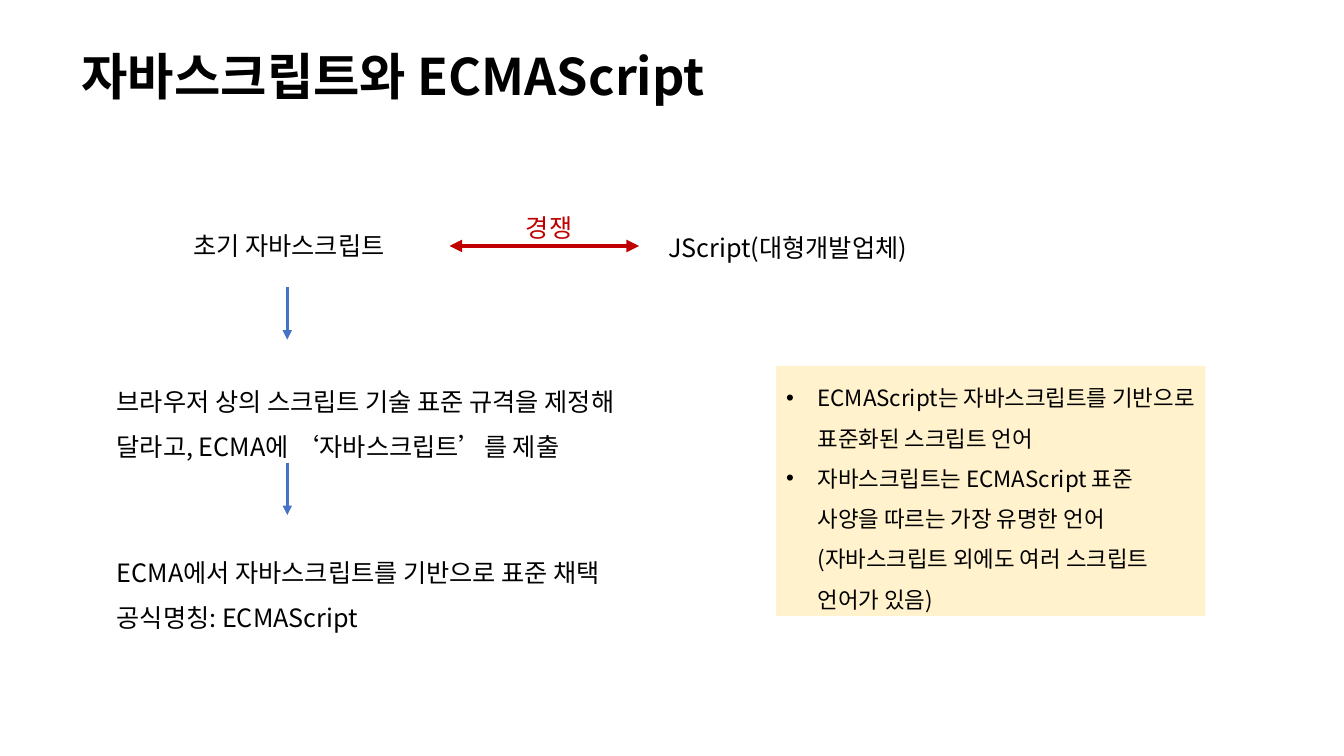
"""Build the slide on JavaScript and ECMAScript."""
from dataclasses import dataclass

from lxml.etree import SubElement as Sub
from pptx import Presentation
from pptx.dml.color import RGBColor as Rgb
from pptx.enum.shapes import MSO_CONNECTOR as Link, MSO_SHAPE as Form
from pptx.enum.text import MSO_ANCHOR as Anchor, MSO_AUTO_SIZE as Fit, PP_ALIGN as Align
from pptx.oxml.ns import qn
from pptx.util import Pt

FONT = "Noto Sans CJK KR"
HUES = {"ink": "000000", "red": "C00000", "blue": "4472C4", "cream": "FFF2CC"}
LEFT, STEM, ROW = 76.3, 205.2, 261.4


@dataclass
class Note:
    """A block of text with its place and look."""
    box: tuple[float, float, float, float]
    lines: list[str]
    size: float = 18
    hue: str = "ink"
    space: float = 1.0
    bold: bool = False
    dots: bool = False
    fill: str = ""
    fit: Fit = Fit.SHAPE_TO_FIT_TEXT
    anchor: Anchor = Anchor.TOP


@dataclass
class Arrow:
    """A straight arrow with a head at one end or both."""
    start: tuple[float, float]
    end: tuple[float, float]
    hue: str = "blue"
    width: float = 2.25
    ends: tuple[str, ...] = ("tailEnd",)


TITLE = Note((51.1, 23.8, 701.3, 66.2), ["자바스크립트와 ECMAScript"], size=36,
             space=0.9, bold=True, fit=Fit.NONE, anchor=Anchor.MIDDLE)
NOTES = [
    Note((131, 160.6, 177.8, 29), ["초기 자바스크립트"]),
    Note((470.2, 162.7, 358.6, 29), ["JScript(대형개발업체)"]),
    Note((368.6, 148.3, 64.8, 29), ["경쟁"], hue="red"),
    Note((LEFT, ROW, 380.2, 69.1),
         ["브라우저 상의 스크립트 기술 표준 규격을 제정해 달라고, ECMA에 ‘자바스크립트’를 제출"],
         space=1.5),
    Note((LEFT, 383.8, 427.7, 69.1),
         ["ECMA에서 자바스크립트를 기반으로 표준 채택", "공식명칭: ECMAScript"], space=1.5),
    Note((554.4, ROW, 306.7, 178.6),
         ["ECMAScript는 자바스크립트를 기반으로 표준화된 스크립트 언어",
          "자바스크립트는 ECMAScript 표준 사양을 따르는 가장 유명한 언어\n"
          "(자바스크립트 외에도 여러 스크립트 언어가 있음)"],
         size=16, space=1.5, dots=True, fill="cream"),
]
ARROWS = [
    Arrow((321.1, 175.7), (456.5, 175.7), "red", 3, ("headEnd", "tailEnd")),
    *(Arrow((STEM, top), (STEM, top + 37.4)) for top in (205.2, 330.5)),
]


def tint(name: str) -> Rgb:
    """Return the named colour."""
    return Rgb.from_string(HUES[name])


def apply(item, looks: dict) -> None:
    """Set each format value on the item."""
    for key, value in looks.items():
        setattr(item, key, value)


def write(shape, note: Note) -> None:
    """Place the shape and fill it with the note's text."""
    apply(shape, dict(zip(("left", "top", "width", "height"), map(Pt, note.box))))
    frame = shape.text_frame
    apply(frame, {"word_wrap": True, "auto_size": note.fit, "vertical_anchor": note.anchor})
    for num, line in enumerate(note.lines):
        para = frame.add_paragraph() if num else frame.paragraphs[0]
        para.text = line
        apply(para, {"alignment": Align.LEFT, "line_spacing": note.space})
        if note.dots:
            props = para._p.get_or_add_pPr()
            props.set("marL", str(Pt(22.5)))
            props.set("indent", str(Pt(-22.5)))
            Sub(props, qn("a:buFont"), typeface="Arial")
            Sub(props, qn("a:buChar"), char="•")
        for run in para.runs:
            apply(run.font, {"name": FONT, "size": Pt(note.size), "bold": note.bold})
            run.font.color.rgb = tint(note.hue)
            Sub(run._r.get_or_add_rPr(), qn("a:ea"), typeface=FONT)


def add_note(shapes, note: Note) -> None:
    """Add a text box, or a filled panel, for the note."""
    area = tuple(map(Pt, note.box))
    if note.fill:
        shape = shapes.add_shape(Form.RECTANGLE, *area)
        shape.shadow.inherit = False
        shape.fill.solid()
        shape.fill.fore_color.rgb = tint(note.fill)
        shape.line.fill.background()
    else:
        shape = shapes.add_textbox(*area)
    write(shape, note)


def add_arrow(shapes, arrow: Arrow) -> None:
    """Draw an arrow."""
    line = shapes.add_connector(Link.STRAIGHT, *map(Pt, arrow.start + arrow.end))
    line.line.width = Pt(arrow.width)
    line.line.color.rgb = tint(arrow.hue)
    for end in arrow.ends:
        Sub(line.line._get_or_add_ln(), qn(f"a:{end}"), type="triangle")
    Sub(line._element.spPr, qn("a:effectLst"))


def main() -> None:
    """Build and save the slide."""
    deck = Presentation()
    apply(deck, {"slide_width": Pt(960), "slide_height": Pt(540)})
    shapes = deck.slides.add_slide(deck.slide_layouts[5]).shapes
    write(shapes.title, TITLE)
    for note in NOTES:
        add_note(shapes, note)
    for arrow in ARROWS:
        add_arrow(shapes, arrow)
    deck.save("out.pptx")


if __name__ == "__main__":
    main()
